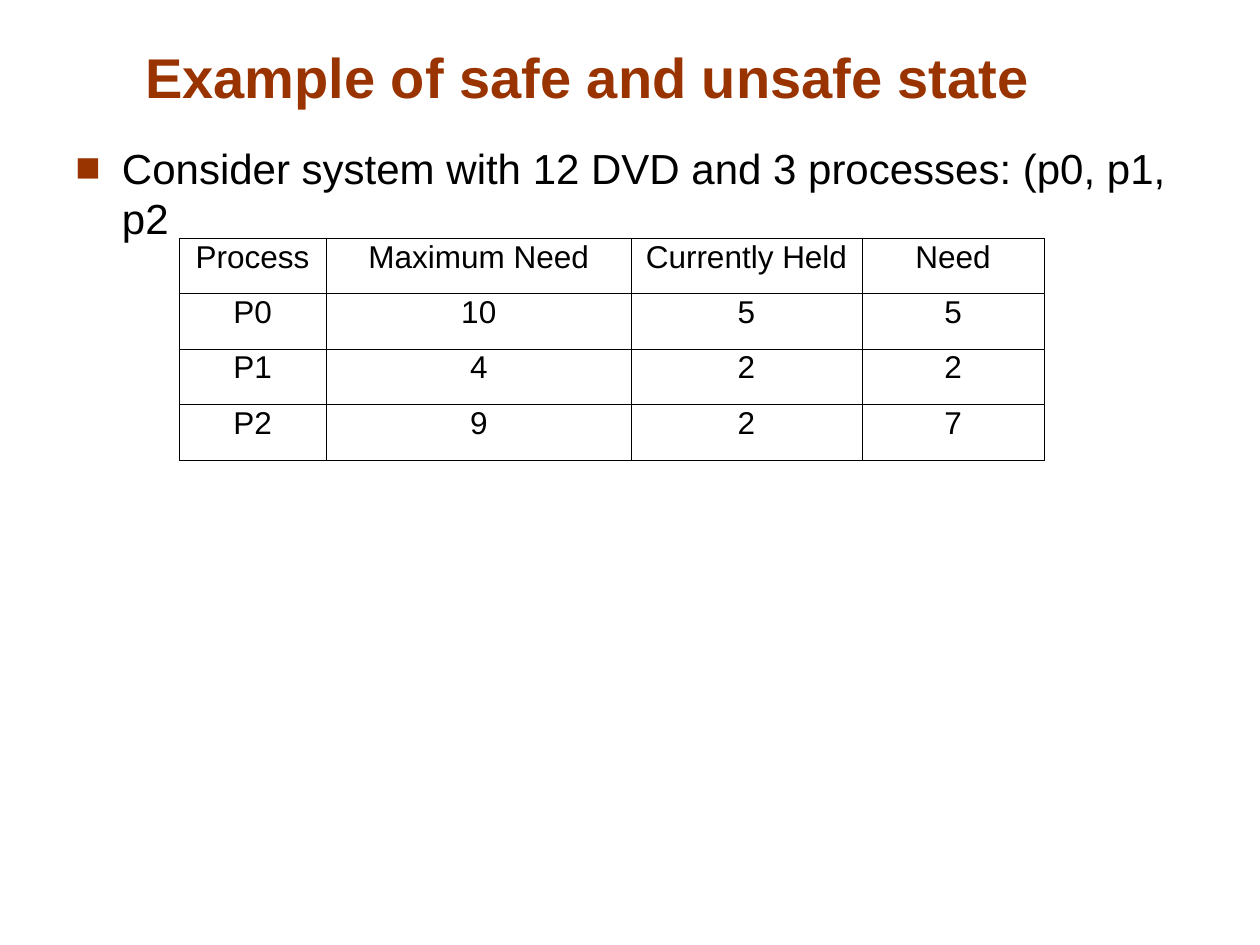
from lxml import etree
from pptx import Presentation
from pptx import util as u
from pptx.dml.color import RGBColor
from pptx.enum import text
from pptx.oxml.ns import qn

COLOURS = {"rust": "993300", "black": "000000"}
TITLE = "Example of safe and unsafe state"
STATEMENT = "Consider system with 12 DVD and 3 processes: (p0, p1, p2"
PROCESSES = [
    ("Process", "Maximum Need", "Currently Held", "Need"),
    ("P0", "10", "5", "5"),
    ("P1", "4", "2", "2"),
    ("P2", "9", "2", "7"),
]
COLUMN_WIDTHS = (1.17, 2.42, 1.83, 1.45)
ROW_HEIGHT = 0.44
TABLE_CORNER = (1.42, 1.89)
BORDER_POINTS = 0.06
HANGING_INDENT = 0.37


def write(frame, words, size, colour="black", bold=False, **paragraph_format):
    frame.text = words
    paragraph = frame.paragraphs[0]
    for name, value in paragraph_format.items():
        setattr(paragraph, name, value)
    font = paragraph.runs[0].font
    for name, value in {"name": "Arial", "size": u.Pt(size), "bold": bold}.items():
        setattr(font, name, value)
    font.color.rgb = RGBColor.from_string(COLOURS[colour])
    return paragraph


def add_colour(parent, colour):
    etree.SubElement(parent, qn("a:srgbClr"), val=COLOURS[colour])


def add_square_bullet(paragraph):
    properties = paragraph._p.get_or_add_pPr()
    indent = u.Inches(HANGING_INDENT)
    properties.set("marL", str(indent))
    properties.set("indent", str(-indent))
    add_colour(etree.SubElement(properties, qn("a:buClr")), "rust")
    etree.SubElement(properties, qn("a:buFont"), typeface="Arial")
    etree.SubElement(properties, qn("a:buChar"), char="■")


def add_borders(cell):
    """Put a hairline on all four sides, ahead of the cell's fill."""
    properties = cell._tc.get_or_add_tcPr()
    for position, side in enumerate(("lnL", "lnR", "lnT", "lnB")):
        line = etree.Element(qn(f"a:{side}"), w=str(u.Pt(BORDER_POINTS)))
        add_colour(etree.SubElement(line, qn("a:solidFill")), "black")
        properties.insert(position, line)


def add_title(slide):
    title = slide.shapes.title
    for side, inches in {"left": 0.25, "top": 0.25, "width": 8.83, "height": 0.67}.items():
        setattr(title, side, u.Inches(inches))
    frame = title.text_frame
    frame.auto_size = text.MSO_AUTO_SIZE.NONE
    frame.vertical_anchor = text.MSO_ANCHOR.BOTTOM
    write(frame, TITLE, 32, "rust", True, alignment=text.PP_ALIGN.CENTER)


def add_statement(slide):
    box = slide.shapes.add_textbox(*map(u.Inches, (0.5, 1.08, 9, 6.08)))
    box.text_frame.word_wrap = True
    add_square_bullet(write(box.text_frame, STATEMENT, 24, space_before=u.Pt(7.9)))


def add_process_table(slide):
    size = (sum(COLUMN_WIDTHS), ROW_HEIGHT * len(PROCESSES))
    table = slide.shapes.add_table(
        len(PROCESSES), len(COLUMN_WIDTHS), *map(u.Inches, TABLE_CORNER + size)
    ).table
    table.first_row = table.horz_banding = False
    for column, width in zip(table.columns, COLUMN_WIDTHS):
        column.width = u.Inches(width)
    for row, entries in zip(table.rows, PROCESSES):
        row.height = u.Inches(ROW_HEIGHT)
        for cell, entry in zip(row.cells, entries):
            write(cell.text_frame, entry, 18,
                  alignment=text.PP_ALIGN.CENTER, line_spacing=0.84)
            cell.fill.background()
            add_borders(cell)


def main():
    deck = Presentation()
    deck.slide_width, deck.slide_height = u.Inches(10), u.Inches(7.5)
    slide = deck.slides.add_slide(deck.slide_layouts.get_by_name("Title Only"))
    add_title(slide)
    add_statement(slide)
    add_process_table(slide)
    deck.save("out.pptx")


if __name__ == "__main__":
    main()
